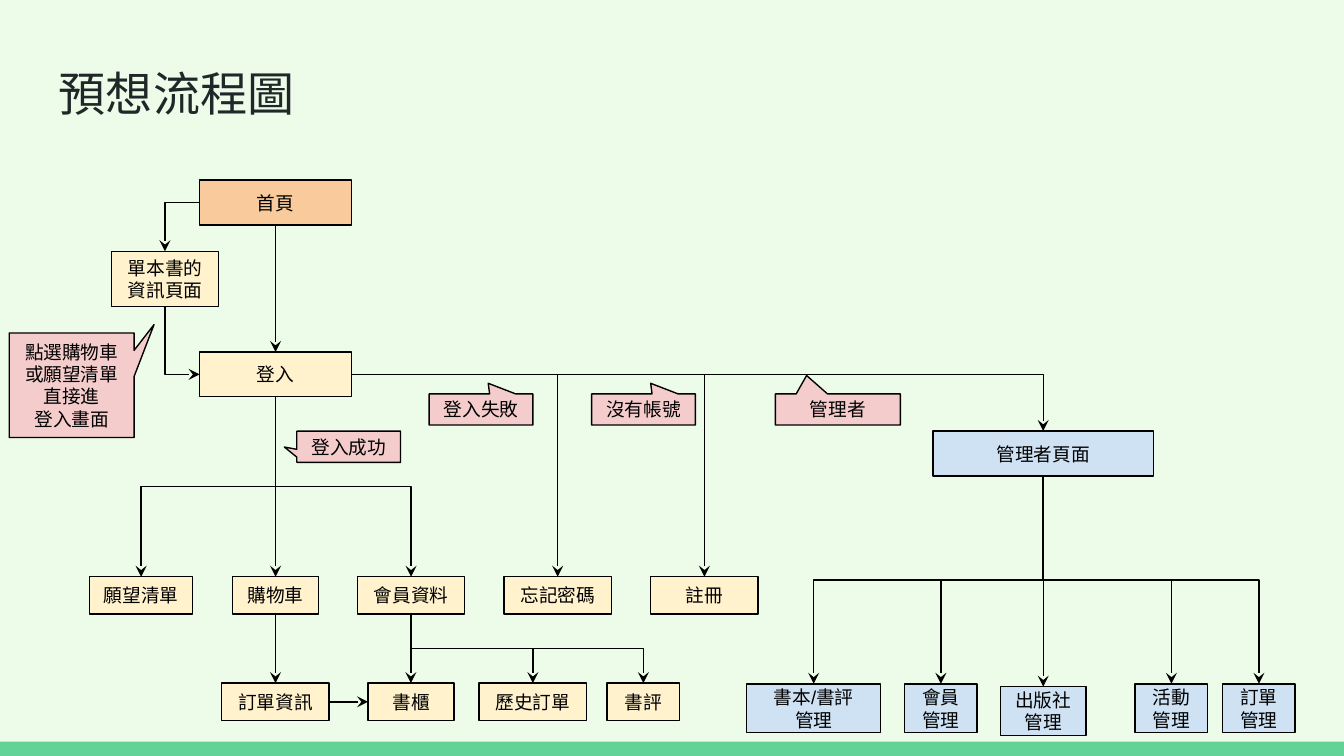
"""Build a slide with the planned page flow of a book shop."""
from pptx import Presentation
from pptx.dml.color import RGBColor
from pptx.enum.shapes import MSO_CONNECTOR, MSO_SHAPE
from pptx.enum.text import MSO_ANCHOR, PP_ALIGN
from pptx.oxml.ns import qn
from pptx.util import Pt
from lxml.etree import SubElement

BLACK, CREAM, PINK, BLUE = "000000", "FFF2CC", "F4CCCC", "CFE2F3"


def colour(value):
    return RGBColor.from_string(value)


def middle_x(box):
    return box.left + box.width // 2


def middle_y(box):
    return box.top + box.height // 2


class FlowPage:
    label = {"name": "Arial", "size": Pt(10)}
    heading = {"name": "Calibri", "size": Pt(25.2)}
    frame = {"word_wrap": True, "margin_left": Pt(7.2), "margin_right": Pt(7.2),
             "margin_top": Pt(7.2), "margin_bottom": Pt(7.2)}
    stroke = Pt(0.75)

    def __init__(self, deck, background):
        self.page = deck.slides.add_slide(deck.slide_layouts[6])
        fill = self.page.background.fill
        fill.solid()
        fill.fore_color.rgb = colour(background)

    def set_text(self, box, text, font, ink, align, anchor):
        body = box.text_frame
        body.text = text
        for name, value in {**self.frame, "vertical_anchor": anchor}.items():
            setattr(body, name, value)
        for para in body.paragraphs:
            para.alignment = align
            for span in para.runs:
                span.font.color.rgb = colour(ink)
                for name, value in font.items():
                    setattr(span.font, name, value)

    def title(self, text, left, top, width, height):
        box = self.page.shapes.add_textbox(Pt(left), Pt(top), Pt(width), Pt(height))
        self.set_text(box, text, self.heading, "202729", PP_ALIGN.LEFT, MSO_ANCHOR.TOP)

    def shape(self, kind, fill, left, top, width, height):
        box = self.page.shapes.add_shape(kind, Pt(left), Pt(top), Pt(width), Pt(height))
        box.shadow.inherit = False
        box.fill.solid()
        box.fill.fore_color.rgb = colour(fill)
        return box

    def band(self, fill, top, width, height):
        self.shape(MSO_SHAPE.RECTANGLE, fill, 0, top, width, height).line.fill.background()

    def node(self, text, centre, top, width, height=20, fill=CREAM, kind=MSO_SHAPE.RECTANGLE):
        box = self.shape(kind, fill, centre - width / 2, top, width, height)
        box.line.color.rgb = colour(BLACK)
        box.line.width = self.stroke
        self.set_text(box, text, self.label, BLACK, PP_ALIGN.CENTER, MSO_ANCHOR.MIDDLE)
        return box

    def callout(self, text, centre, top, width, height, tip):
        box = self.node(text, centre, top, width, height, PINK, MSO_SHAPE.RECTANGULAR_CALLOUT)
        for index, value in enumerate(tip):
            box.adjustments[index] = value

    def arrow(self, kind, start, end):
        line = self.page.shapes.add_connector(kind, *start, *end)
        line.line.color.rgb = colour(BLACK)
        line.line.width = self.stroke
        properties = line.element.spPr
        SubElement(properties.find(qn("a:ln")), qn("a:tailEnd"), type="stealth")
        SubElement(properties, qn("a:effectLst"))
        return properties

    def straight(self, start, end):
        self.arrow(MSO_CONNECTOR.STRAIGHT, start, end)

    def turn(self, start, end):
        """Run sideways, then down."""
        properties = self.arrow(MSO_CONNECTOR.ELBOW, start, end)
        properties.find(qn("a:prstGeom")).set("prst", "bentConnector2")

    def drop(self, start, end, preset="bentConnector3"):
        """Run down first, as an elbow turned by a quarter about its middle."""
        (x1, y1), (x2, y2) = start, end
        if x1 == x2:
            return self.straight(start, end)
        x, y = (x1 + x2) // 2, (y1 + y2) // 2
        long, wide = (y2 - y1) // 2, abs(x2 - x1) // 2
        properties = self.arrow(MSO_CONNECTOR.ELBOW, (x - long, y - wide), (x + long, y + wide))
        properties.find(qn("a:prstGeom")).set("prst", preset)
        turned = {"rot": "16200000", "flipH": "1"} if x2 > x1 else {"rot": "5400000"}
        for name, value in turned.items():
            properties.find(qn("a:xfrm")).set(name, value)

    def branch(self, parent, children):
        for child in children:
            self.drop((middle_x(parent), parent.top + parent.height),
                      (middle_x(child), child.top))


def main():
    deck = Presentation()
    deck.slide_width, deck.slide_height = Pt(720), Pt(405)
    flow = FlowPage(deck, "EDFBE9")
    flow.band("63D297", 397.4, 720, 7.6)
    flow.title("預想流程圖", 24.5, 27.4, 671, 45.4)

    home = flow.node("首頁", 147.6, 96.5, 81.4, 24, "F9CB9C")
    book = flow.node("單本書的\v資訊頁面", 88.4, 134.6, 57.6, 29.5)
    login = flow.node("登入", 147.6, 188.6, 81.4, 24)
    admin = flow.node("管理者頁面", 558.9, 230.9, 118, 24.2, BLUE)

    wishes, cart, member, forgotten, register = [
        flow.node(text, centre, 309, width) for text, centre, width in (
            ("願望清單", 75.6, 55.4), ("購物車", 147.6, 46), ("會員資料", 220.2, 57.6),
            ("忘記密碼", 298.8, 57.6), ("註冊", 377.4, 57.6))]
    order, shelf, history, review = [
        flow.node(text, centre, 366, width) for text, centre, width in (
            ("訂單資訊", 147.6, 57.6), ("書櫃", 220.2, 46),
            ("歷史訂單", 285.5, 57.6), ("書評", 344.7, 38.9))]
    managed = [
        flow.node(f"{text}\n管理", centre, top, width, 26.2, BLUE)
        for text, centre, top, width in (
            ("書本/書評", 435.9, 366.4, 72), ("會員", 504, 366.4, 38.9),
            ("出版社", 558.9, 367.9, 46), ("活動", 627.6, 366.4, 38.9),
            ("訂單", 674.4, 366.4, 38.9))]

    for parent, children in ((home, [login]), (login, [wishes, cart, member]),
                             (cart, [order]), (member, [shelf, history, review]),
                             (admin, managed)):
        flow.branch(parent, children)
    flow.turn((home.left, middle_y(home)), (middle_x(book), book.top))
    flow.drop((middle_x(book), book.top + book.height),
              (login.left, middle_y(login)), "bentConnector2")
    for target in (forgotten, register, admin):
        flow.turn((login.left + login.width, middle_y(login)), (middle_x(target), target.top))
    flow.straight((order.left + order.width, middle_y(order)), (shelf.left, middle_y(shelf)))

    flow.callout("點選購物車\v或願望清單\n直接進\v登入畫面", 38.4, 178.4, 66.9, 56, (0.66, -0.58))
    flow.callout("登入成功", 186.8, 231, 55.6, 16.7, (-0.62, 0.01))
    flow.callout("登入失敗", 257.7, 211, 55.6, 16.7, (0.07, -0.84))
    flow.callout("沒有帳號", 344.7, 211, 55.6, 16.7, (0.07, -0.84))
    flow.callout("管理者", 448.9, 211, 67, 16.7, (-0.25, -1.09))
    deck.save("out.pptx")


if __name__ == "__main__":
    main()
